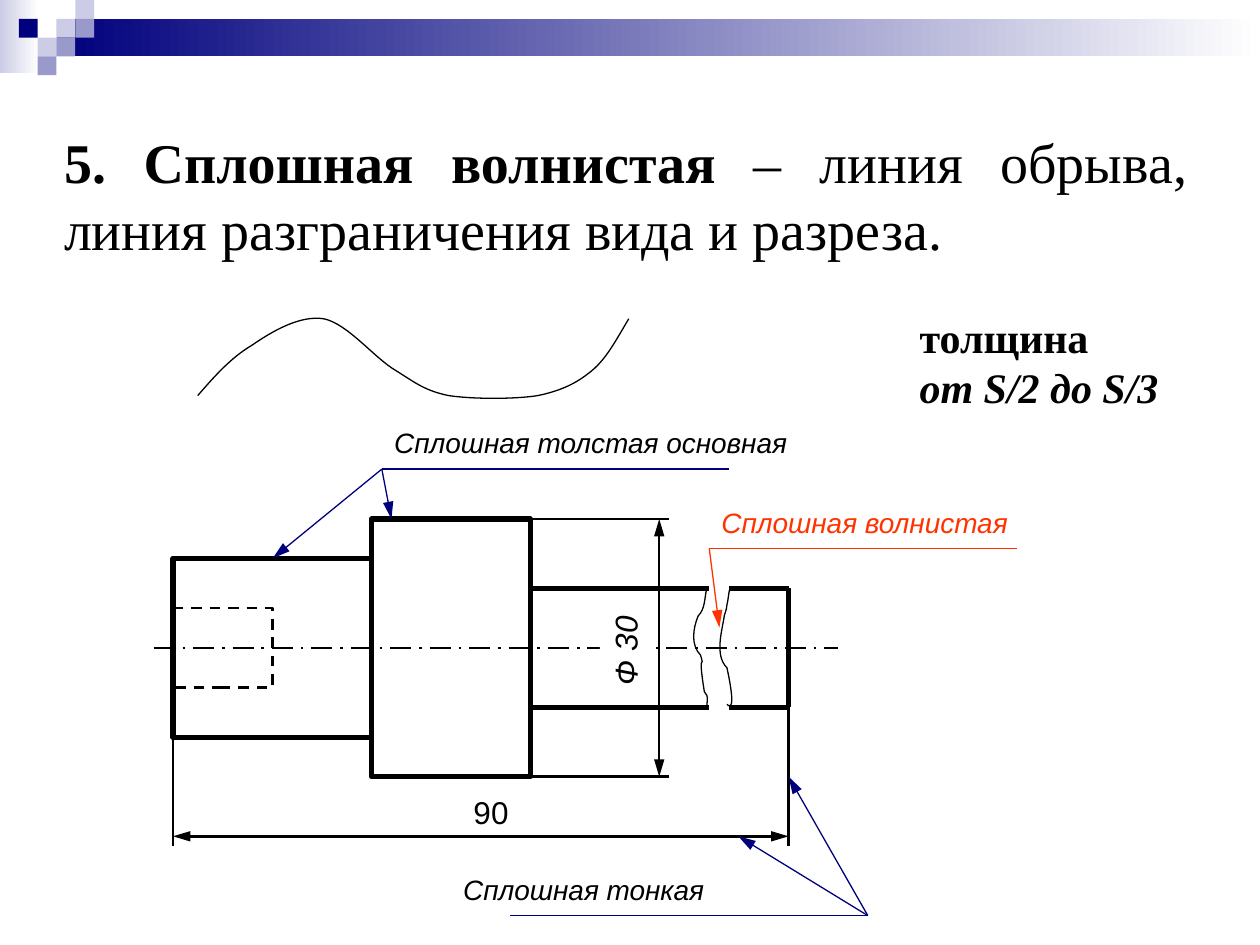
import pptx
import pptx.dml.color
import pptx.enum.dml
import pptx.enum.shapes
import pptx.enum.text
import pptx.oxml.ns
import pptx.util
from lxml import etree

Pt = pptx.util.Pt
RECTANGLE = pptx.enum.shapes.MSO_SHAPE.RECTANGLE
STRAIGHT = pptx.enum.shapes.MSO_CONNECTOR.STRAIGHT
DASH = pptx.enum.dml.MSO_LINE.DASH
CHAIN = pptx.enum.dml.MSO_LINE.LONG_DASH_DOT
LEFT = pptx.enum.text.PP_ALIGN.LEFT
JUSTIFY = pptx.enum.text.PP_ALIGN.JUSTIFY
BLACK, NAVY, RED = "000000", "00007D", "FF3300"
PALE, LILAC, WHITE = "CCCCE6", "9999CC", "FFFFFF"


def color(value):
    return pptx.dml.color.RGBColor.from_string(value)


def add_child(parent, tag, **attributes):
    return etree.SubElement(parent, pptx.oxml.ns.qn(tag), **attributes)


deck = pptx.Presentation()
deck.slide_width, deck.slide_height = Pt(720), Pt(540)
page = deck.slides.add_slide(deck.slide_layouts[6])

for left, top, width, height, start in [
    (0, 0, 22.3, 41.8, PALE),
    (32.4, 10.8, 687.6, 21.4, NAVY),
]:
    band = page.shapes.add_shape(RECTANGLE, Pt(left), Pt(top), Pt(width), Pt(height))
    band.shadow.inherit = False
    band.line.fill.background()
    band.fill.gradient()
    band.fill.gradient_angle = 0
    for stop, position, shade in zip(band.fill.gradient_stops, (0, 1), (start, WHITE)):
        stop.position = position
        stop.color.rgb = color(shade)

cell = 10.75
for column, row, shade in [
    (3, 1, PALE), (4, 0, PALE), (4, 1, LILAC), (2, 2, PALE),
    (1, 1, NAVY), (3, 2, LILAC), (2, 3, LILAC),
]:
    square = page.shapes.add_shape(
        RECTANGLE, Pt(column * cell), Pt(row * cell), Pt(cell), Pt(cell))
    square.shadow.inherit = False
    square.fill.solid()
    square.fill.fore_color.rgb = color(shade)
    square.line.fill.background()

shaft_left, collar_left, collar_right, shaft_right = 98.9, 212.2, 303, 450.6
break_left, break_right = 405.3, 416.5
collar_top, collar_bottom = 296.6, 443.8
journal_top, journal_bottom = 319, 421.4
neck_top, neck_bottom = 336.2, 404.3
axis, dimension, extension_end = 370.3, 477.9, 483.6
diameter, extension_right = 376.7, 382.3

for left, top, right, bottom, weight, dash in [
    (shaft_left, journal_top, collar_left, journal_bottom, 3, None),
    (collar_left, collar_top, collar_right, collar_bottom, 3, None),
    (shaft_left, 347.5, 155.7, 392.8, 1.5, DASH),
]:
    outline = page.shapes.add_shape(
        RECTANGLE, Pt(left), Pt(top), Pt(right - left), Pt(bottom - top))
    outline.shadow.inherit = False
    outline.fill.background()
    outline.line.color.rgb = color(BLACK)
    outline.line.width = Pt(weight)
    outline.line.dash_style = dash

main_label, thin_label, wave_label = (218.2, 268.1), (495.9, 523.2), (405.3, 313.5)
END, BOTH = ("a:tailEnd",), ("a:headEnd", "a:tailEnd")
for start, end, shade, weight, dash, arrows in [
    ((87.8, axis), (478.8, axis), BLACK, 1.5, CHAIN, ()),
    ((diameter, collar_top), (diameter, collar_bottom), BLACK, 1, None, BOTH),
    ((collar_right, collar_top), (extension_right, collar_top), BLACK, 1.5, None, ()),
    ((collar_right, collar_bottom), (extension_right, collar_bottom), BLACK, 1.5, None, ()),
    ((shaft_left, journal_bottom), (shaft_left, extension_end), BLACK, 1.5, None, ()),
    ((shaft_right, neck_bottom), (shaft_right, extension_end), BLACK, 1.5, None, ()),
    ((shaft_left, dimension), (shaft_right, dimension), BLACK, 1.5, None, BOTH),
    (main_label, (416.4, 268.1), NAVY, 0.75, None, ()),
    (main_label, (155.9, journal_top), NAVY, 0.75, None, END),
    (main_label, (223.7, collar_top), NAVY, 0.75, None, END),
    ((collar_right, neck_top), (break_left, neck_top), BLACK, 3, None, ()),
    ((break_right, neck_top), (shaft_right, neck_top), BLACK, 3, None, ()),
    ((shaft_right, neck_top), (shaft_right, neck_bottom), BLACK, 3, None, ()),
    ((break_right, neck_bottom), (shaft_right, neck_bottom), BLACK, 3, None, ()),
    ((collar_right, neck_bottom), (break_left, neck_bottom), BLACK, 3, None, ()),
    ((291.6, 523.2), thin_label, NAVY, 0.75, None, ()),
    (thin_label, (shaft_right, collar_bottom), NAVY, 0.75, None, END),
    (thin_label, (421.9, dimension), NAVY, 0.75, None, END),
    (wave_label, (411.1, 358.6), RED, 0.75, None, END),
    (wave_label, (581, 313.5), RED, 0.75, None, ()),
]:
    stroke = page.shapes.add_connector(STRAIGHT, *(Pt(value) for value in start + end))
    stroke.line.color.rgb = color(shade)
    stroke.line.width = Pt(weight)
    stroke.line.dash_style = dash
    for arrow in arrows:
        add_child(stroke.line._get_or_add_ln(), arrow, type="triangle", w="med", len="lg")
    add_child(stroke._element.spPr, "a:effectLst")

for knots in [
    [(113, 226.1), (122.4, 215.3), (131.8, 204.5), (144, 197.3),
     (155.5, 189.4), (171.4, 180), (185, 182.2), (198.7, 185), (213.8, 204.5),
     (226.1, 211.7), (237.6, 218.9), (242.6, 223.2), (256.3, 226.1),
     (270, 228.2), (294.5, 228.2), (307.4, 226.1), (321.1, 223.2), (329.8, 218.9),
     (338.4, 211.7), (347, 204.5), (352.8, 193), (359.3, 182.2)],
    [(403.9, 336.2), (402.5, 341.3), (403.2, 347.8), (398.9, 352.1),
     (396, 359.3), (394.6, 368.6), (400.3, 374.4), (403.2, 384.5), (398.2, 368.6),
     (402.5, 395.3), (402.5, 396), (403.9, 396.7), (403.9, 397.4),
     (404.6, 399.6), (403.9, 401), (403.9, 403.2)],
    [(416.9, 337), (416.2, 339.8), (416.2, 342.7), (415.4, 345.6),
     (415.4, 347.8), (414, 351.4), (414, 351.4), (412.6, 360.7), (408.2, 374.4),
     (415.4, 381.6), (416.2, 385.2), (421.2, 408.2), (415.4, 402.5)],
]:
    (start_x, start_y), *controls = [(Pt(x), Pt(y)) for x, y in knots]
    builder = page.shapes.build_freeform(start_x, start_y)
    builder.add_line_segments(controls, close=False)
    wave = builder.convert_to_shape()
    wave.shadow.inherit = False
    wave.fill.background()
    wave.line.color.rgb = color(BLACK)
    wave.line.width = Pt(0.75)
    route = wave._element.find(".//" + pptx.oxml.ns.qn("a:path"))
    segments = route.findall(pptx.oxml.ns.qn("a:lnTo"))
    for first in range(0, len(segments), 3):
        curve = add_child(route, "a:cubicBezTo")
        for segment in segments[first:first + 3]:
            curve.append(segment[0])
            route.remove(segment)

SERIF, SANS = "Times New Roman", "Arial"
for left, top, width, height, size, font, shade, align, wrap, turn, lines in [
    (29.5, 69.1, 656.2, 84.2, 32, SERIF, BLACK, JUSTIFY, True, 0,
     [[("5. Сплошная волнистая ", True, False),
       ("– линия обрыва, линия разграничения вида и разреза.", False, False)]]),
    (518.4, 174.5, 153, 64.8, 24, SERIF, BLACK, LEFT, False, 0,
     [[("толщина", True, False)], [("от S/2 до S/3", True, True)]]),
    (328.8, 355.7, 56.9, 28.8, 18, SANS, BLACK, LEFT, True, 270, [[("Ф 30", False, True)]]),
    (263.5, 449.6, 45.4, 28.8, 18, SANS, BLACK, LEFT, True, 0, [[("90", False, False)]]),
    (405.2, 285.1, 187.2, 26.6, 16, SANS, RED, LEFT, True, 0,
     [[("Сплошная волнистая", False, True)]]),
    (218.2, 239.8, 249.1, 26.6, 16, SANS, BLACK, LEFT, True, 0,
     [[("Сплошная толстая основная", False, True)]]),
    (257.6, 495.1, 181.4, 26.6, 16, SANS, BLACK, LEFT, True, 0,
     [[("Сплошная тонкая", False, True)]]),
]:
    box = page.shapes.add_textbox(Pt(left), Pt(top), Pt(width), Pt(height))
    box.rotation = turn
    if turn:
        box.fill.solid()
        box.fill.fore_color.rgb = color(WHITE)
    frame = box.text_frame
    frame.word_wrap = wrap
    frame.auto_size = pptx.enum.text.MSO_AUTO_SIZE.SHAPE_TO_FIT_TEXT
    for index, spans in enumerate(lines):
        para = frame.add_paragraph() if index else frame.paragraphs[0]
        para.alignment = align
        for words, bold, italic in spans:
            span = para.add_run()
            span.text = words
            span.font.name = font
            span.font.size = Pt(size)
            span.font.bold = bold
            span.font.italic = italic
            span.font.color.rgb = color(shade)

deck.save("out.pptx")
